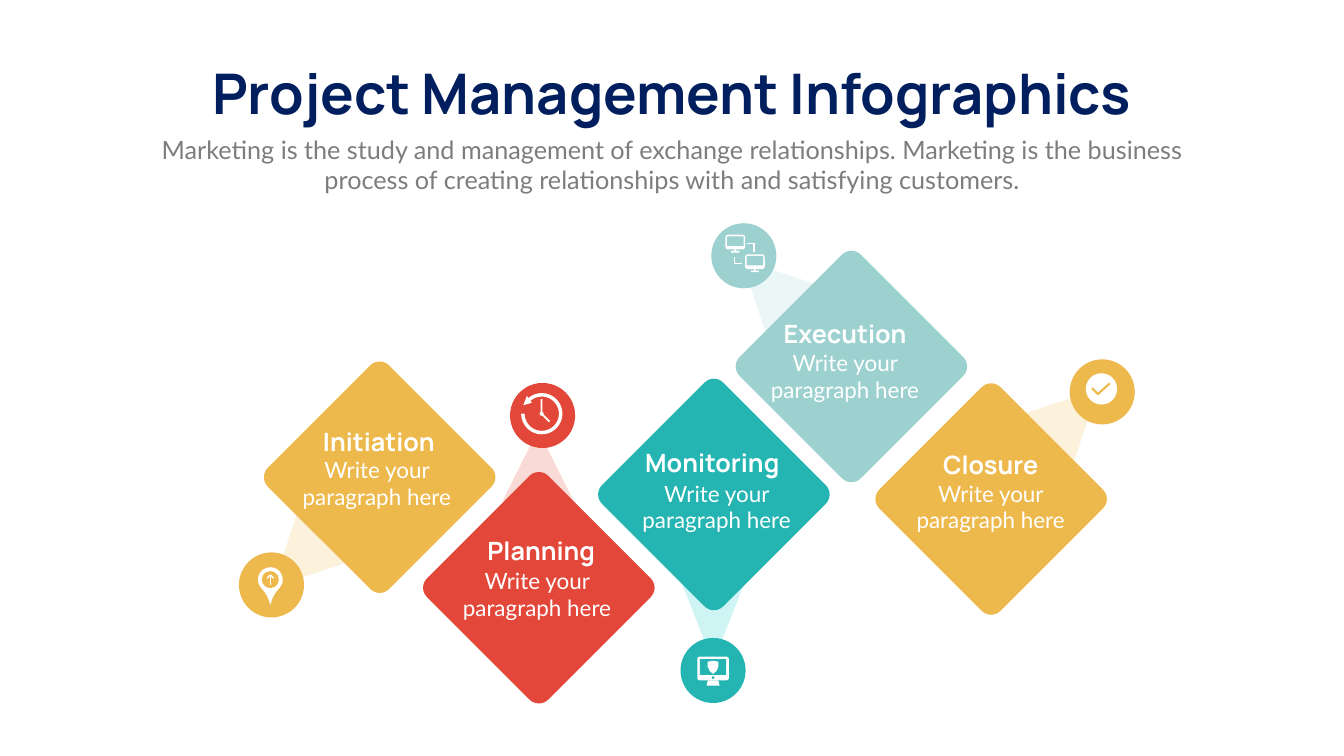
from math import cos, radians, sin

from pptx import Presentation
from pptx.dml.color import RGBColor
from pptx.enum.shapes import MSO_SHAPE
from pptx.enum.text import MSO_ANCHOR, MSO_AUTO_SIZE, PP_ALIGN
from pptx.util import Cm, Pt

COLORS = {
    "navy": "011F5E", "grey": "7E7C7F", "white": "FFFFFF",
    "gold": "EEB94C", "red": "E34739", "teal": "24B5B2", "mint": "9CD1D0",
    "gold_pale": "FCF1DB", "red_pale": "F9DAD7", "teal_pale": "CEF5F4", "mint_pale": "EBF6F6",
}

prs = Presentation()
prs.slide_width, prs.slide_height = Cm(67.72), Cm(38.1)
s = prs.slides.add_slide(prs.slide_layouts[0])


def add_solid(kind, cx, cy, w, h, color, rotation=0):
    """Borderless preset shape, placed by its centre in cm."""
    sp = s.shapes.add_shape(kind, Cm(cx - w / 2), Cm(cy - h / 2), Cm(w), Cm(h))
    sp.shadow.inherit = False
    sp.fill.solid()
    sp.fill.fore_color.rgb = RGBColor.from_string(COLORS[color])
    sp.line.fill.background()
    sp.rotation = rotation
    return sp


def add_path(points, color, width=0):
    """Open stroke of the given width in points, or a filled outline without one."""
    pts = [(Cm(x), Cm(y)) for x, y in points]
    builder = s.shapes.build_freeform(*pts[0])
    builder.add_line_segments(pts[1:], close=not width)
    sp = builder.convert_to_shape()
    sp.shadow.inherit = False
    rgb = RGBColor.from_string(COLORS[color])
    if width:
        sp.fill.background()
        sp.line.color.rgb = rgb
        sp.line.width = Pt(width)
    else:
        sp.fill.solid()
        sp.fill.fore_color.rgb = rgb
        sp.line.fill.background()


# Stages: name, colour, diamond, circle, beam centre, beam height and rotation,
# heading centre and width, body centre
stages = [
    ("Initiation", "gold", (19.13, 24.05), (13.68, 29.48), (15, 28.33), 3.58, 45,
     (19.09, 22.26), 6.78, (18.99, 24.36)),
    ("Planning", "red", (27.15, 29.62), (27.34, 20.94), (27.11, 23.46), 3.58, 180,
     (27.27, 27.77), 6.78, (27.06, 29.97)),
    ("Monitoring", "teal", (35.97, 24.92), (35.93, 33.79), (35.93, 31.12), 4.52, 0,
     (35.89, 23.3), 8.38, (36.11, 25.55)),
    ("Execution", "mint", (42.9, 18.47), (37.48, 12.89), (38.62, 14.34), 3.58, 135,
     (42.58, 16.8), 7.19, (42.58, 18.97)),
    ("Closure", "gold", (49.94, 25.15), (55.54, 19.75), (54.06, 20.87), 3.58, 225,
     (49.92, 23.41), 6.78, (49.92, 25.55)),
]

# Beams, diamonds and circles
for _, color, _, _, beam, beam_h, turn, *_ in stages:
    add_solid(MSO_SHAPE.FLOWCHART_MERGE, *beam, 3.58, beam_h, color + "_pale", turn)
for _, color, diamond, circle, *_ in stages:
    sp = add_solid(MSO_SHAPE.ROUNDED_RECTANGLE, *diamond, 8.64, 8.64, color, 45)
    sp.adjustments[0] = 0.077
    add_solid(MSO_SHAPE.OVAL, *circle, 3.28, 3.28, color)

# Texts: box, left, top, width, height, wording, font, size, colour, bold, wrap
texts = [
    (s.shapes.title, 8.53, 2.84, 50.67, 3.68, "Project Management Infographics",
     "Manrope", 80, "navy", True, False),
    (s.placeholders[1], 7.42, 6.63, 52.88, 3.33,
     "Marketing is the study and management of exchange relationships. "
     "Marketing is the business process of creating relationships with and satisfying customers.",
     "Lato", 36, "grey", False, True),
]
for name, *_, head, head_w, body in stages:
    for (cx, cy), w, h, wording, font, size, bold in [
        (head, head_w, 1.8, name, "Manrope", 36, True),
        (body, 8.2, 3, "Write your paragraph here", "Lato", 32, False),
    ]:
        sp = s.shapes.add_textbox(0, 0, Cm(w), Cm(h))
        texts.append((sp, cx - w / 2, cy - h / 2, w, h, wording, font, size, "white", bold, True))

for sp, x, y, w, h, wording, font, size, color, bold, wrap in texts:
    sp.left, sp.top, sp.width, sp.height = Cm(x), Cm(y), Cm(w), Cm(h)
    tf = sp.text_frame
    tf.auto_size = MSO_AUTO_SIZE.NONE
    tf.word_wrap = wrap
    tf.vertical_anchor = MSO_ANCHOR.TOP
    p = tf.paragraphs[0]
    p.alignment = PP_ALIGN.CENTER
    p.space_before = Pt(0)
    r = p.add_run()
    r.text = wording
    r.font.name, r.font.size, r.font.bold = font, Pt(size), bold
    r.font.color.rgb = RGBColor.from_string(COLORS[color])

# Initiation icon: map pin with an arrow
pin = add_solid(MSO_SHAPE.TEAR, 13.62, 29.21, 1.25, 1.25, "white", 135)
pin.adjustments[0] = 1.45
add_solid(MSO_SHAPE.OVAL, 13.62, 29.21, 0.86, 0.86, "gold")
add_path([(13.62, 29.48), (13.62, 28.98)], "white", 2)
add_path([(13.46, 29.14), (13.62, 28.98), (13.78, 29.14)], "white", 2)

# Planning icon: clock with a turning arrow
dial = [(27.3 + 0.95 * cos(radians(a)), 20.85 + 0.95 * sin(radians(a)))
        for a in range(180, -146, -5)]
add_path(dial, "white", 5)
add_path([(26.37, 20.42), (26.8, 20.3), (26.55, 19.95)], "white")
add_path([(27.29, 20.12), (27.29, 20.85), (27.69, 21.25)], "white", 2.5)
add_solid(MSO_SHAPE.OVAL, 27.29, 20.85, 0.2, 0.2, "white")

# Monitoring icon: screen with a shield
add_solid(MSO_SHAPE.ROUNDED_RECTANGLE, 35.93, 33.69, 1.59, 1.19, "white").adjustments[0] = 0.1
add_solid(MSO_SHAPE.RECTANGLE, 35.93, 33.62, 1.32, 0.79, "teal")
add_solid(MSO_SHAPE.OVAL, 35.93, 34.15, 0.13, 0.13, "teal")
add_solid(MSO_SHAPE.TRAPEZOID, 35.93, 34.42, 0.66, 0.26, "white")
add_path([(35.66, 33.35), (35.93, 33.3), (36.2, 33.35), (36.2, 33.6),
          (36.1, 33.82), (35.93, 33.96), (35.76, 33.82), (35.66, 33.6)], "white")

# Execution icon: two linked screens
for step in (0, 0.99):
    x, y = 37.05 + step, 12.2 + step
    add_solid(MSO_SHAPE.ROUNDED_RECTANGLE, x, y, 0.99, 0.74, "white")
    add_solid(MSO_SHAPE.RECTANGLE, x, y - 0.05, 0.83, 0.48, "mint")
    add_solid(MSO_SHAPE.RECTANGLE, x, y + 0.41, 0.08, 0.1, "white")
    add_solid(MSO_SHAPE.RECTANGLE, x, y + 0.49, 0.41, 0.08, "white")
add_path([(37.66, 12.28), (37.99, 12.28), (37.99, 12.7)], "white", 2)
add_path([(37, 12.94), (37, 13.27), (37.41, 13.27)], "white", 2)

# Closure icon: check mark
add_solid(MSO_SHAPE.OVAL, 55.5, 19.6, 1.58, 1.58, "white")
add_path([(55.02, 19.56), (55.32, 19.86), (55.92, 19.32)], "gold", 3)

prs.save("out.pptx")
